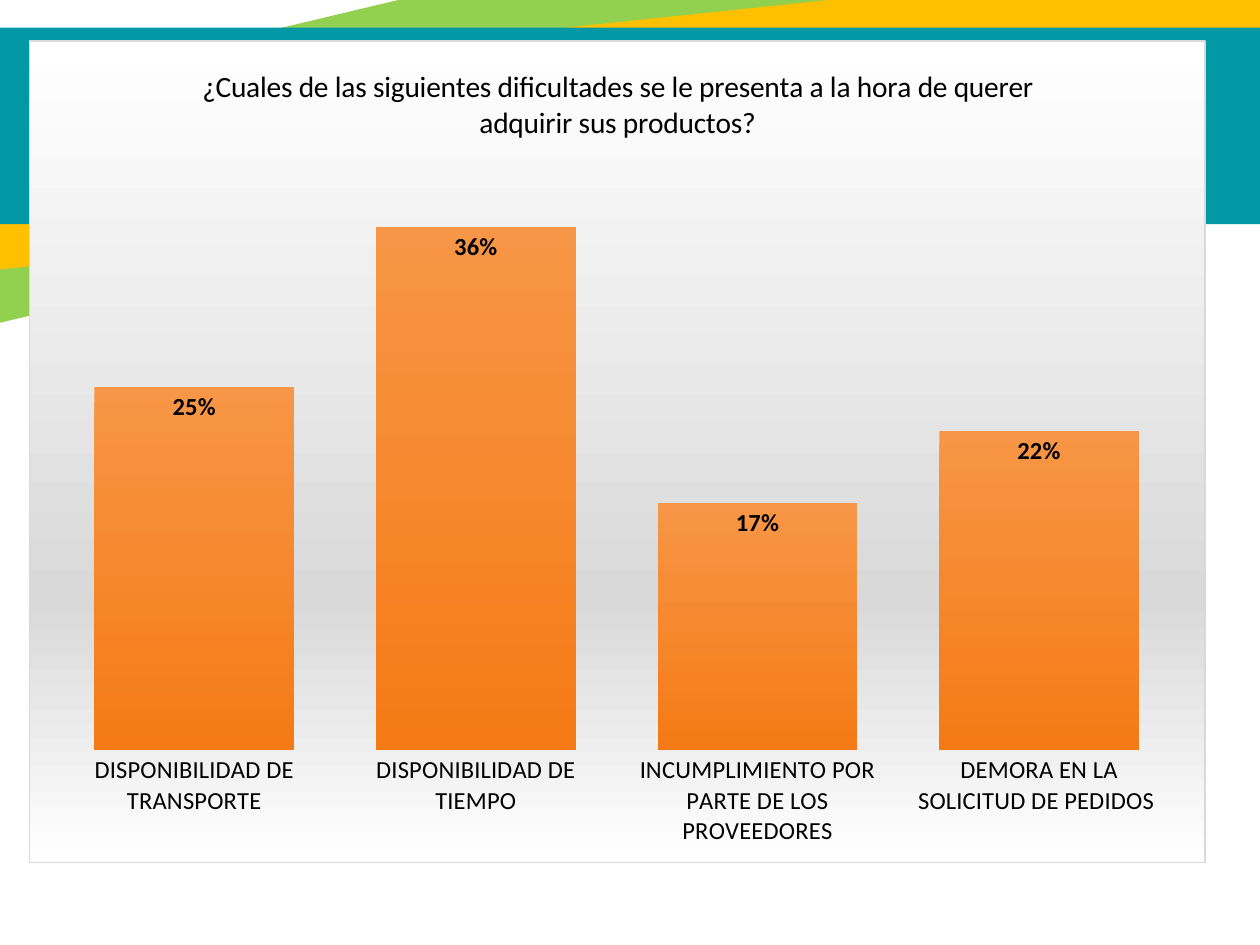
from dataclasses import dataclass

from lxml import etree
from pptx import Presentation
from pptx.chart.data import CategoryChartData
from pptx.dml.color import RGBColor
from pptx.enum.chart import XL_CHART_TYPE, XL_LABEL_POSITION, XL_TICK_LABEL_POSITION, XL_TICK_MARK
from pptx.enum.shapes import MSO_SHAPE
from pptx.oxml import parse_xml
from pptx.oxml.ns import nsdecls, qn
from pptx.util import Inches, Pt

COLUMN_CLUSTERED = XL_CHART_TYPE.COLUMN_CLUSTERED
INSIDE_END = XL_LABEL_POSITION.INSIDE_END
NEXT_TO_AXIS = XL_TICK_LABEL_POSITION.NEXT_TO_AXIS
NO_TICKS = XL_TICK_MARK.NONE
RECTANGLE = MSO_SHAPE.RECTANGLE


@dataclass(frozen=True)
class Theme:
    font: str = "Calibri"
    title_size: float = 16.8
    body_size: int = 14
    text: str = "000000"
    green: str = "92D050"
    yellow: str = "FFC000"
    teal: str = "0099A5"
    border: str = "D9D9D9"
    panel_stops: tuple = ((0, "FFFFFF"), (68, "D9D9D9"), (100, "FFFFFF"))
    bar_stops: tuple = ((0, "F79646"), (100, "F57A15"))


def vertical_gradient(stops):
    stop_list = "".join(
        f'<a:gs pos="{position * 1000}"><a:srgbClr val="{color}"/></a:gs>'
        for position, color in stops
    )
    return (
        f'<a:gradFill {nsdecls("a")} rotWithShape="1"><a:gsLst>{stop_list}</a:gsLst>'
        '<a:lin ang="5400000" scaled="0"/></a:gradFill>'
    )


class SlideBuilder:
    def __init__(self, slide, theme):
        self.slide = slide
        self.theme = theme

    def style_font(self, font, size, bold=False):
        font.name = self.theme.font
        font.size = Pt(size)
        font.bold = bold
        font.color.rgb = RGBColor.from_string(self.theme.text)

    def band(self, left, top, width, height, color, rotation=0):
        shape = self.slide.shapes.add_shape(
            RECTANGLE, Inches(left), Inches(top), Inches(width), Inches(height)
        )
        shape.rotation = rotation
        shape.shadow.inherit = False
        shape.fill.solid()
        shape.fill.fore_color.rgb = RGBColor.from_string(color)
        shape.line.fill.background()

    def column_chart(self, left, top, width, height, title, values, plot):
        data = CategoryChartData(number_format="0%")
        data.categories = list(values)
        data.add_series("Series 1", list(values.values()))
        chart = self.slide.shapes.add_chart(
            COLUMN_CLUSTERED, Inches(left), Inches(top), Inches(width), Inches(height), data
        ).chart
        self.style_font(chart.font, self.theme.body_size)
        chart.has_legend = False

        chart.has_title = True
        chart.chart_title.include_in_layout = False
        title_frame = chart.chart_title.text_frame
        title_frame.text = title
        for paragraph in title_frame.paragraphs:
            self.style_font(paragraph.font, self.theme.title_size)

        value_axis = chart.value_axis
        value_axis.minimum_scale = 0
        value_axis.maximum_scale = 0.4
        value_axis.has_major_gridlines = False
        value_axis.tick_labels.number_format = "0%"
        value_axis.tick_labels.number_format_is_linked = False
        value_axis.visible = False

        category_axis = chart.category_axis
        category_axis.major_tick_mark = NO_TICKS
        category_axis.minor_tick_mark = NO_TICKS
        category_axis.tick_label_position = NEXT_TO_AXIS
        category_axis.format.line.fill.background()
        self.style_font(category_axis.tick_labels.font, self.theme.body_size)

        columns = chart.plots[0]
        columns.gap_width = 41
        columns.vary_by_categories = False
        series = columns.series[0]
        series.format.line.fill.background()
        series_properties = series.format.line._get_or_add_ln().getparent()
        series_properties.insert(0, parse_xml(vertical_gradient(self.theme.bar_stops)))

        labels = series.data_labels
        labels.show_value = True
        labels.position = INSIDE_END
        labels.number_format = "0%"
        labels.number_format_is_linked = False
        self.style_font(labels.font, self.theme.body_size, bold=True)

        self.chart_panel(chart)
        sides = (width, height, width, height)
        self.plot_layout(chart, [length / side for length, side in zip(plot, sides)])

    def chart_panel(self, chart):
        panel = parse_xml(
            f'<c:spPr {nsdecls("c", "a")}>{vertical_gradient(self.theme.panel_stops)}'
            f'<a:ln w="{Pt(0.75)}"><a:solidFill><a:srgbClr val="{self.theme.border}"/>'
            "</a:solidFill></a:ln></c:spPr>"
        )
        chart._chartSpace.find(qn("c:chart")).addnext(panel)

    def plot_layout(self, chart, fractions):
        plot_area = chart._chartSpace.find(".//" + qn("c:plotArea"))
        layout = plot_area.find(qn("c:layout"))
        if layout is None:
            layout = etree.Element(qn("c:layout"))
            plot_area.insert(0, layout)
        manual = etree.SubElement(layout, qn("c:manualLayout"))
        settings = {"layoutTarget": "inner", "xMode": "edge", "yMode": "edge"}
        settings.update(zip("xywh", fractions))
        for name, value in settings.items():
            etree.SubElement(manual, qn(f"c:{name}")).set("val", str(value))


def main():
    presentation = Presentation()
    presentation.slide_width = Inches(10)
    presentation.slide_height = Inches(7.5)
    theme = Theme()
    slide = presentation.slides.add_slide(presentation.slide_layouts[6])
    builder = SlideBuilder(slide, theme)

    builder.band(-2.51, -0.18, 13.06, 1.76, theme.green, 346.6)
    builder.band(-1.1, 0.2, 11.63, 1.44, theme.yellow, 354)
    builder.band(-1.06, 0.22, 11.63, 1.56, theme.teal)
    builder.column_chart(
        0.23, 0.32, 9.34, 6.53,
        "¿Cuales de las siguientes dificultades se le presenta a la hora de querer\n"
        "adquirir sus productos?",
        {
            "DISPONIBILIDAD DE TRANSPORTE": 0.25,
            "DISPONIBILIDAD DE TIEMPO": 0.36,
            "INCUMPLIMIENTO POR PARTE DE LOS PROVEEDORES": 0.17,
            "DEMORA EN LA SOLICITUD DE PEDIDOS ": 0.22,
        },
        plot=(0.19, 1.02, 8.95, 4.62),
    )
    presentation.save("out.pptx")


if __name__ == "__main__":
    main()
